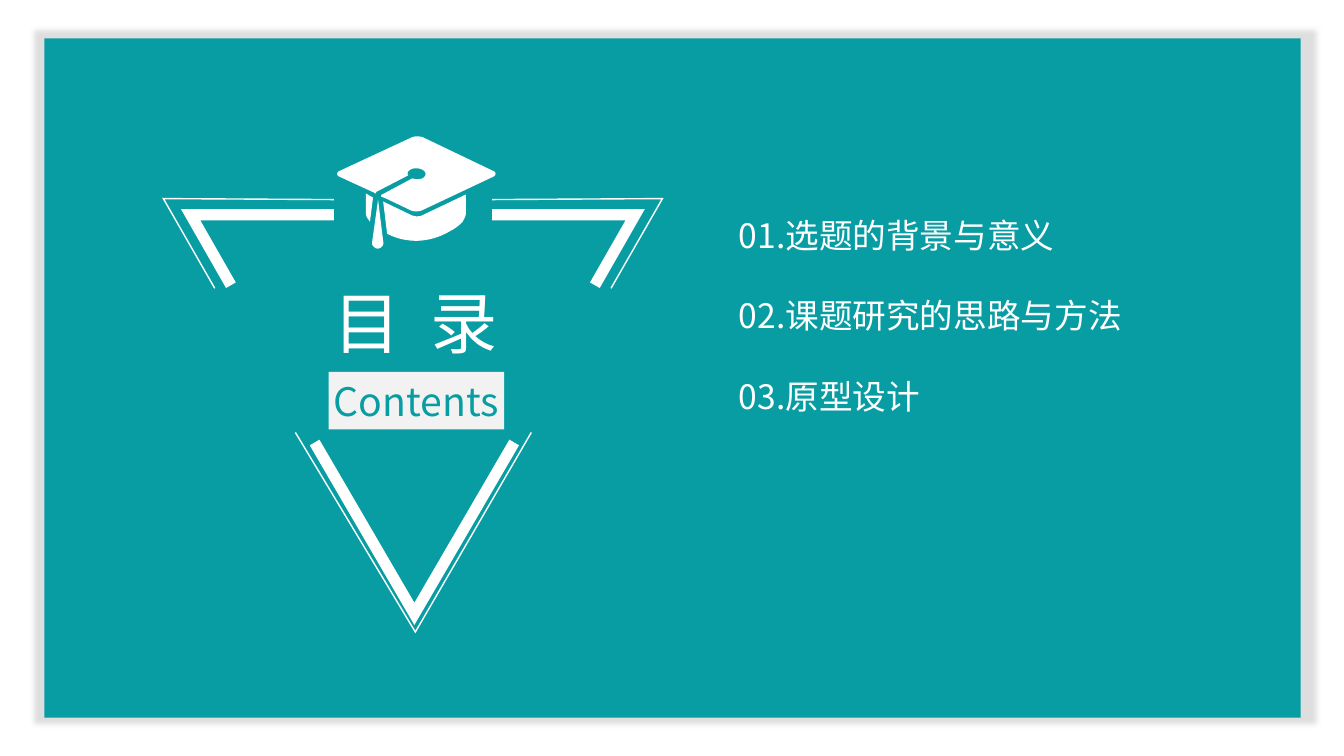
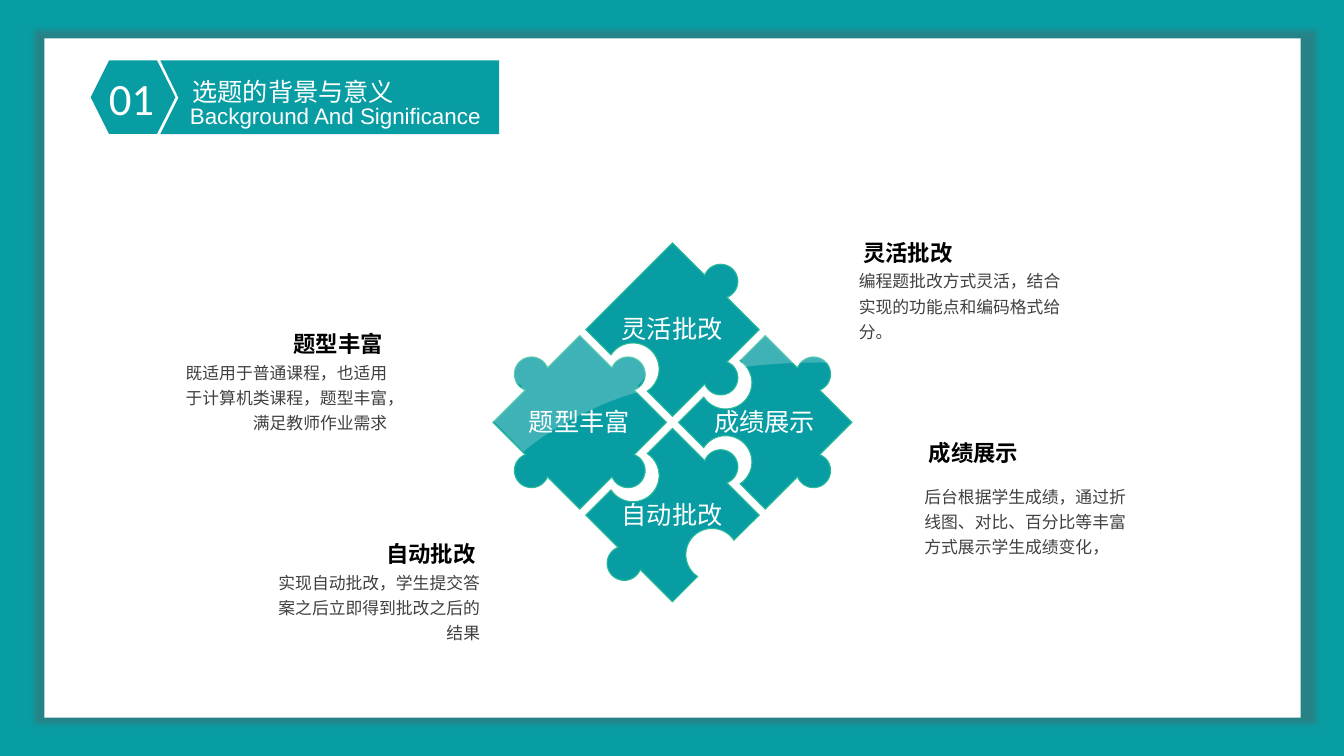
from math import asin, cos, hypot, pi, sin, sqrt

from lxml.etree import SubElement
from pptx import Presentation
from pptx.dml.color import RGBColor
from pptx.enum.shapes import MSO_SHAPE
from pptx.enum.text import MSO_ANCHOR, PP_ALIGN
from pptx.oxml.ns import qn
from pptx.util import Pt

PX = 9144
WIDE, HIGH = 1333, 750
TEAL = RGBColor(0x08, 0x9D, 0xA3)
MINT = RGBColor(0x2B, 0xBB, 0x99)
WHITE = RGBColor(0xFF, 0xFF, 0xFF)
PALE = RGBColor(0xF2, 0xF2, 0xF2)
BLACK = RGBColor(0, 0, 0)
DARK = RGBColor(0x40, 0x40, 0x40)
LIGHT = RGBColor(0xA6, 0xA6, 0xA6)
GREY = RGBColor(0x59, 0x59, 0x59)
HAN, LATIN, SANS = "Noto Sans CJK SC", "Calibri", "Arial"
LEFT, MID, RIGHT = PP_ALIGN.LEFT, PP_ALIGN.CENTER, PP_ALIGN.RIGHT

TOPICS = ["01.选题的背景与意义", "02.课题研究的思路与方法", "03.原型设计"]

FRAME = [
    (1, [(213, 286), (162, 197), (331, 198)], [(293, 429), (412, 627), (527, 429)]),
    (8, [(229, 283), (189, 213), (331, 213)], [(312, 439), (411, 609), (510, 439)]),
]

CAP = [
    [(407, 137), (410, 135, 415, 135, 419, 136), (490, 170),
     (492, 171, 492, 174, 490, 175), (418, 209), (415, 210, 411, 210, 408, 209),
     (383, 197), (378, 195), (378, 194, 378, 193, 379, 193), (409, 177),
     (412, 178, 416, 178, 419, 177), (423, 175, 423, 171, 420, 169),
     (417, 167, 414, 167, 411, 167), (405, 168, 403, 172, 405, 174), (374, 190),
     (373, 190, 373, 191, 373, 192), (336, 175), (334, 174, 334, 171, 336, 170)],
    [(363, 192), (370, 196), (367, 220), (365, 217, 363, 215, 363, 212)],
    [(418, 214), (462, 193), (462, 212), (462, 215, 460, 217, 459, 220),
     (455, 224, 451, 227, 447, 229), (434, 237, 417, 241, 402, 238),
     (396, 237, 390, 235, 384, 232), (380, 200), (407, 213),
     (411, 215, 415, 215, 418, 214)],
    [(369, 241), (375, 198), (380, 239), (381, 243, 379, 245, 377, 246),
     (375, 247, 373, 247, 371, 245), (370, 244, 369, 243, 369, 241)],
]

GLOSS = [
    [(822, 360), (821, 358, 820, 357, 819, 355), (811, 348, 800, 348, 793, 355),
     (790, 358), (758, 327), (732, 353), (735, 356, 737, 360, 738, 364),
     (764, 361, 792, 359, 822, 360)],
    [(632, 383), (635, 380), (642, 373, 642, 361, 635, 354),
     (628, 347, 616, 347, 609, 354), (608, 355, 607, 357, 607, 358), (575, 327),
     (542, 359), (542, 357, 540, 355, 539, 354), (532, 347, 520, 347, 513, 354),
     (506, 361, 506, 372, 513, 380), (515, 381, 516, 382, 518, 383), (487, 415),
     (519, 448), (542, 428, 590, 400, 636, 388), (636, 387)],
]

PIECES = [
    ("成绩展示", 1, 0, "sock knob knob sock"),
    ("自动批改", 0, 1, "sock knob sock knob"),
    ("灵活批改", 0, -1, "flat knob knob sock"),
    ("题型丰富", -1, 0, "knob knob knob knob"),
]
BUMPS = {"knob": (11, 17, 1), "sock": (18, 26, -1)}

NOTES = [
    ("灵活批改", "编程题批改方式灵活，结合实现的功能点和编码格式给分。", 842, 232, 259, LEFT),
    ("成绩展示", "后台根据学生成绩，通过折线图、对比、百分比等丰富方式展示学生成绩变化，",
     907, 431, 473, LEFT),
    ("自动批改", "实现自动批改，学生提交答案之后立即得到批改之后的结果", 369, 531, 558, RIGHT),
    ("题型丰富", "既适用于普通课程，也适用于计算机类课程，题型丰富，满足教师作业需求",
     277, 323, 350, RIGHT),
]


def put(item, vals):
    """Set every value of a dict on an object."""
    for name, val in vals.items():
        setattr(item, name, val)


def paint(shape, fill=None, line=None, width=1):
    """Give a shape its fill and line, without a shadow."""
    shape.shadow.inherit = False
    if fill is None:
        shape.fill.background()
    else:
        shape.fill.solid()
        shape.fill.fore_color.rgb = fill
    if line is None:
        shape.line.fill.background()
    else:
        shape.line.color.rgb = line
        shape.line.width = Pt(width)
        SubElement(shape.line._get_or_add_ln(), qn("a:miter"), lim="800000")
    return shape


def block(slide, box, fill, kind=MSO_SHAPE.RECTANGLE):
    """Add a filled preset shape."""
    return paint(slide.shapes.add_shape(kind, *(n * PX for n in box)), fill)


def write(shape, lines, size, color, face=HAN, align=LEFT, gap=1.0,
          bold=False, wrap=True, anchor=MSO_ANCHOR.TOP, track=0):
    """Write lines of one format into a shape."""
    frame = shape.text_frame
    put(frame, {"word_wrap": wrap, "vertical_anchor": anchor})
    frame.text = "\n".join(lines)
    for para in frame.paragraphs:
        put(para, {"alignment": align, "line_spacing": gap})
        run = para.runs[0]
        put(run.font, {"size": Pt(size), "name": face, "bold": bold})
        run.font.color.rgb = color
        props = run.font._element
        SubElement(props, qn("a:ea"), typeface=HAN)
        if track:
            props.set("spc", str(track))


def label(slide, box, text, size, color, **style):
    """Add a text box."""
    lines = [text] if isinstance(text, str) else text
    write(slide.shapes.add_textbox(*(n * PX for n in box)), lines, size, color, **style)


def trace(steps):
    """Turn points and cubic curves into a list of points."""
    points = [steps[0]]
    for step in steps[1:]:
        if len(step) == 2:
            points.append(step)
            continue
        ctrl = [points[-1], step[:2], step[2:4], step[4:]]
        for i in range(1, 9):
            t = i / 8
            mix = ((1 - t) ** 3, 3 * t * (1 - t) ** 2, 3 * t * t * (1 - t), t ** 3)
            points.append(tuple(sum(m * c[k] for m, c in zip(mix, ctrl)) for k in (0, 1)))
    return points


def outline(slide, points, close=True, **style):
    """Draw a freeform through points."""
    spots = [(x * PX, y * PX) for x, y in points]
    pen = slide.shapes.build_freeform(*spots[0])
    pen.add_line_segments(spots[1:], close=close)
    return paint(pen.convert_to_shape(), **style)


def bump(start, end, kind):
    """List the arc of a knob or socket in the middle of an edge."""
    span, rad, side = BUMPS[kind]
    dx, dy = end[0] - start[0], end[1] - start[1]
    size = hypot(dx, dy)
    ux, uy = dx / size, dy / size
    nx, ny = side * uy, -side * ux
    deep = sqrt(max(0, rad ** 2 - 2 * span ** 2))
    mx = (start[0] + end[0]) / 2 + nx * deep
    my = (start[1] + end[1]) / 2 + ny * deep
    low = asin(deep / rad)
    turns = [-low + (pi + 2 * low) * i / 24 for i in range(25)]
    return [(mx + rad * (nx * sin(t) - ux * cos(t)),
             my + rad * (ny * sin(t) - uy * cos(t))) for t in turns]


def piece(slide, cx, cy, edges):
    """Draw a diamond puzzle piece, its edges clockwise from the left."""
    half = 86
    tips = [(cx - half, cy), (cx, cy - half), (cx + half, cy), (cx, cy + half)]
    points = []
    for i, kind in enumerate(edges.split()):
        points.append(tips[i])
        if kind in BUMPS:
            points += bump(tips[i], tips[(i + 1) % 4], kind)
    outline(slide, points, fill=TEAL, line=MINT, width=0.75)


def base(deck, back, front, shade):
    """Add a slide with its background and shadowed panel."""
    slide = deck.slides.add_slide(deck.slide_layouts[6])
    slide.background.fill.solid()
    slide.background.fill.fore_color.rgb = back
    panel = block(slide, (44, 38, 1246, 674), front)
    glow = SubElement(panel._element.spPr.find(qn("a:effectLst")), qn("a:outerShdw"),
                      blurRad="50800", dist="25400", dir="0", sx="102000",
                      sy="102000", algn="ctr", rotWithShape="0")
    tint = SubElement(glow, qn("a:srgbClr"), val=str(shade))
    SubElement(tint, qn("a:alpha"), val="36000")
    return slide


def agenda(deck):
    """Build the contents slide."""
    slide = base(deck, WHITE, TEAL, LIGHT)
    for width, side, foot in FRAME:
        twin = [(819 - x, y) for x, y in side]
        for points in (side, twin, foot):
            outline(slide, points, close=False, line=WHITE, width=width)
    for part in CAP:
        outline(slide, trace(part), fill=WHITE)
    label(slide, (723, 168, 462, 333), TOPICS, 24, WHITE, gap=2.0)
    label(slide, (302, 274, 221, 91), "目 录", 48, WHITE, align=MID, track=540)
    write(block(slide, (326, 369, 174, 57), PALE), ["Contents"], 28, TEAL,
          align=MID, wrap=False, anchor=MSO_ANCHOR.MIDDLE)


def header(slide, num, title, sub):
    """Add the numbered title band."""
    band = [(159, 60), (495, 60), (495, 133), (159, 133), (177, 97)]
    outline(slide, band, fill=TEAL)
    block(slide, (90, 60, 84, 73), TEAL, MSO_SHAPE.HEXAGON)
    label(slide, (87, 65, 87, 64), num, 32, WHITE, face=LATIN, align=MID)
    label(slide, (181, 41, 222, 62), title, 18, WHITE, gap=2.0, wrap=False)
    label(slide, (58, 96, 549, 37), sub, 16, WHITE, face=SANS, align=MID,
          anchor=MSO_ANCHOR.MIDDLE)


def puzzle(slide, cx, cy, step):
    """Add the four pieces, their gloss and their labels."""
    spots = [(text, cx + col * step, cy + row * step, edges)
             for text, col, row, edges in PIECES]
    for _, x, y, edges in spots:
        piece(slide, x, y, edges)
    for part in GLOSS:
        shine = outline(slide, trace(part), fill=WHITE)
        tint = next(shine._element.spPr.iter(qn("a:srgbClr")))
        SubElement(tint, qn("a:alpha"), val="22000")
    for text, x, y, _ in spots:
        label(slide, (x - 63, y - 21, 125, 40), text, 18, WHITE, face=LATIN, align=MID)


def reasons(deck):
    """Build the background slide."""
    slide = base(deck, TEAL, WHITE, GREY)
    header(slide, "01", "选题的背景与意义", "Background And Significance")
    puzzle(slide, 667, 419, 92)
    for head, body, x, top, low, align in NOTES:
        edge = x if align == LEFT else x + 117 - 221
        label(slide, (edge, low, 221, 86), body, 12, DARK, align=align, gap=1.25)
        label(slide, (x, top, 117, 37), head, 16, BLACK, face=LATIN, align=MID, bold=True)


def main():
    """Build and save the deck."""
    deck = Presentation()
    put(deck, {"slide_width": WIDE * PX, "slide_height": HIGH * PX})
    agenda(deck)
    reasons(deck)
    deck.save("out.pptx")


if __name__ == "__main__":
    main()
